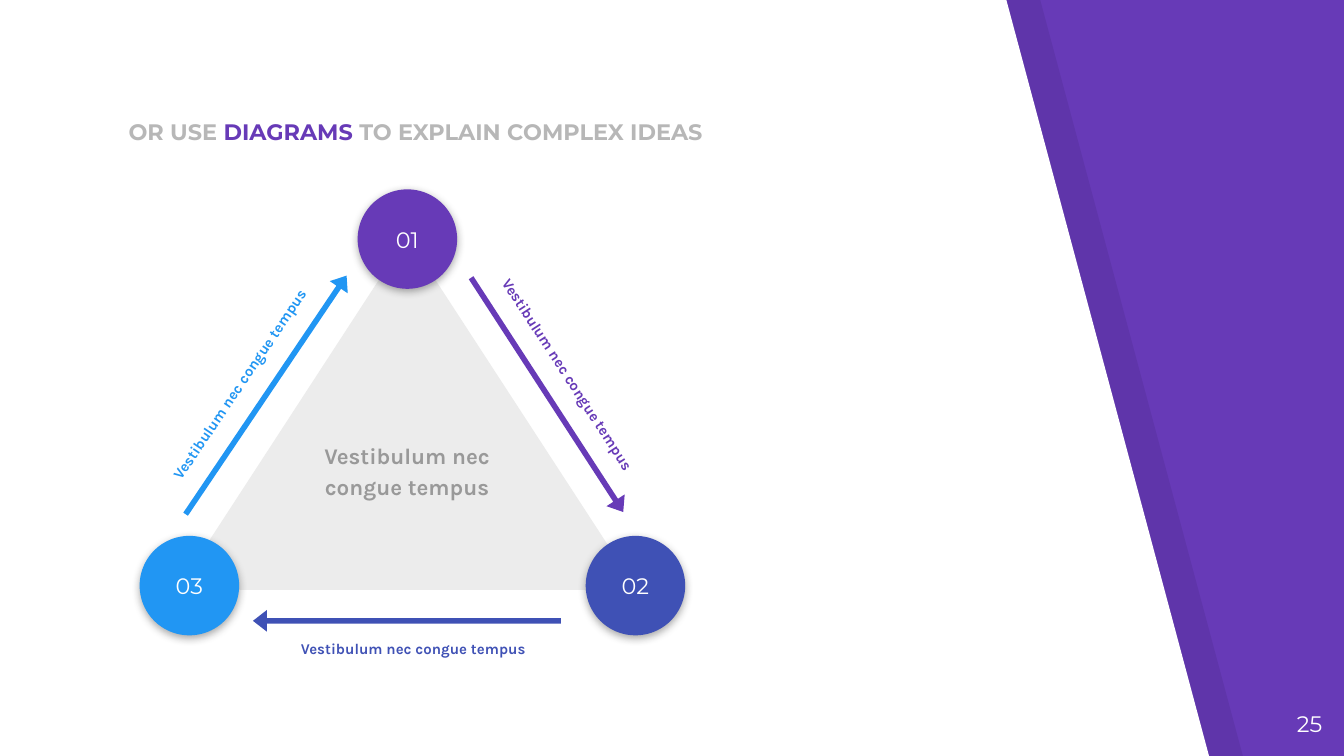
from dataclasses import dataclass

from lxml import etree
from pptx import Presentation
from pptx.dml.color import RGBColor as RGB
from pptx.enum.shapes import MSO_SHAPE as Shape
from pptx.enum.text import MSO_ANCHOR as Anchor, MSO_AUTO_SIZE as Fit, PP_ALIGN as Align
from pptx.oxml import parse_xml
from pptx.oxml.ns import nsdecls, qn
from pptx.util import Cm, Pt


@dataclass(frozen=True)
class Theme:
    purple: str = "673AB7"
    indigo: str = "3F51B5"
    blue: str = "2196F3"
    white: str = "FFFFFF"
    black: str = "000000"
    pale: str = "ECECEC"
    silver: str = "B7B7B7"
    gray: str = "999999"
    shade: str = "212121"
    head: str = "Montserrat"
    body: str = "Karla"
    large: int = 12
    small: int = 8


def paint(shape, color):
    """Give a shape a flat fill with no line or shadow."""
    shape.shadow.inherit = False
    shape.fill.solid()
    shape.fill.fore_color.rgb = RGB.from_string(color)
    shape.line.fill.background()


def write(shape, text, color, font, size, bold=False, align=Align.CENTER,
          space=1.0, anchor=Anchor.TOP):
    """Set one paragraph in a shape with even insets."""
    frame = shape.text_frame
    frame.word_wrap = True
    frame.auto_size = Fit.NONE
    frame.vertical_anchor = anchor
    frame.margin_left = frame.margin_right = Cm(0.25)
    frame.margin_top = frame.margin_bottom = Cm(0.25)
    para = frame.paragraphs[0]
    para.text = text
    para.alignment = align
    para.line_spacing = space
    para.font.name = font
    para.font.size = Pt(size)
    para.font.bold = bold
    para.font.color.rgb = RGB.from_string(color)
    return para


theme = Theme()
deck = Presentation()
deck.slide_width, deck.slide_height = Cm(25.4), Cm(14.29)
slide = deck.slides.add_slide(deck.slide_layouts[5])
shapes = slide.shapes
slide.background.fill.solid()
slide.background.fill.fore_color.rgb = RGB.from_string(theme.purple)

# Title
title = shapes.title
title.left, title.top, title.width, title.height = Cm(2.18), Cm(1.85), Cm(13.34), Cm(1.14)
para = write(title, "OR USE ", theme.silver, theme.head, theme.large, True,
             Align.LEFT, anchor=Anchor.BOTTOM)
word = para.add_run()
word.text = "DIAGRAMS"
word.font.color.rgb = RGB.from_string(theme.purple)
para.add_run().text = " TO EXPLAIN COMPLEX IDEAS"

# Slanted page behind the title: a faint dark edge, then the white sheet
for left, color, alpha in [(0.64, theme.black, 7), (0, theme.white, 100)]:
    pen = shapes.build_freeform(Cm(left), 0, scale=1.0)
    pen.add_line_segments([(Cm(left), Cm(14.29)), (Cm(left + 22.85), Cm(14.29)),
                           (Cm(left + 19.02), 0)])
    sheet = pen.convert_to_shape()
    paint(sheet, color)
    if alpha < 100:
        tint = sheet.element.spPr.find(f"{qn('a:solidFill')}/{qn('a:srgbClr')}")
        etree.SubElement(tint, qn("a:alpha"), val=str(alpha * 1000))
    title.element.addprevious(sheet.element)

# Page number
page = shapes.add_textbox(Cm(23.72), Cm(13.18), Cm(1.52), Cm(1.09))
write(page, "25", theme.white, theme.head, theme.large, align=Align.RIGHT)

# Triangle and its caption
core = shapes.add_shape(Shape.ISOSCELES_TRIANGLE, Cm(3.35), Cm(4.47), Cm(8.69), Cm(6.68))
paint(core, theme.pale)
phrase = "Vestibulum nec congue tempus"
box = shapes.add_textbox(Cm(5.28), Cm(8.03), Cm(4.83), Cm(2.69))
write(box, phrase, theme.gray, theme.body, theme.large, True, space=1.15)

# Each step: number, color, turn, arrow (left, top, width), label and disc (left, top)
steps = [
    ("02", theme.indigo, 180, (4.78, 11.53, 5.82), (5.03, 11.79), (11.07, 10.13)),
    ("03", theme.blue, 304, (2.31, 7.26, 5.44), (1.75, 6.78), (2.64, 10.13)),
    ("01", theme.purple, 57, (7.7, 7.26, 5.28), (7.93, 6.6), (6.76, 3.58)),
]
for number, color, turn, (left, top, width), label, disc in steps:
    arrow = shapes.add_shape(Shape.RIGHT_ARROW, Cm(left), Cm(top), Cm(width), Cm(0.41))
    paint(arrow, color)
    arrow.rotation = turn
    arrow.adjustments[0], arrow.adjustments[1] = 0.255, 0.643

    note = shapes.add_textbox(Cm(label[0]), Cm(label[1]), Cm(5.57), Cm(0.97))
    note.rotation = turn % 180
    if turn > 180:
        note.rotation = turn
    write(note, phrase, color, theme.body, theme.small, True, space=1.15)

    dot = shapes.add_shape(Shape.OVAL, Cm(disc[0]), Cm(disc[1]), Cm(1.88), Cm(1.88))
    paint(dot, color)
    write(dot, number, theme.white, theme.head, theme.large, anchor=Anchor.MIDDLE)
    glow = dot.element.spPr.find(qn("a:effectLst"))
    glow.append(parse_xml(
        f'<a:outerShdw {nsdecls("a")} blurRad="{Pt(4.5)}" dist="{Pt(1.5)}" '
        f'dir="5400000" algn="bl" rotWithShape="0"><a:srgbClr val="{theme.shade}">'
        '<a:alpha val="38000"/></a:srgbClr></a:outerShdw>'))

deck.save("out.pptx")
